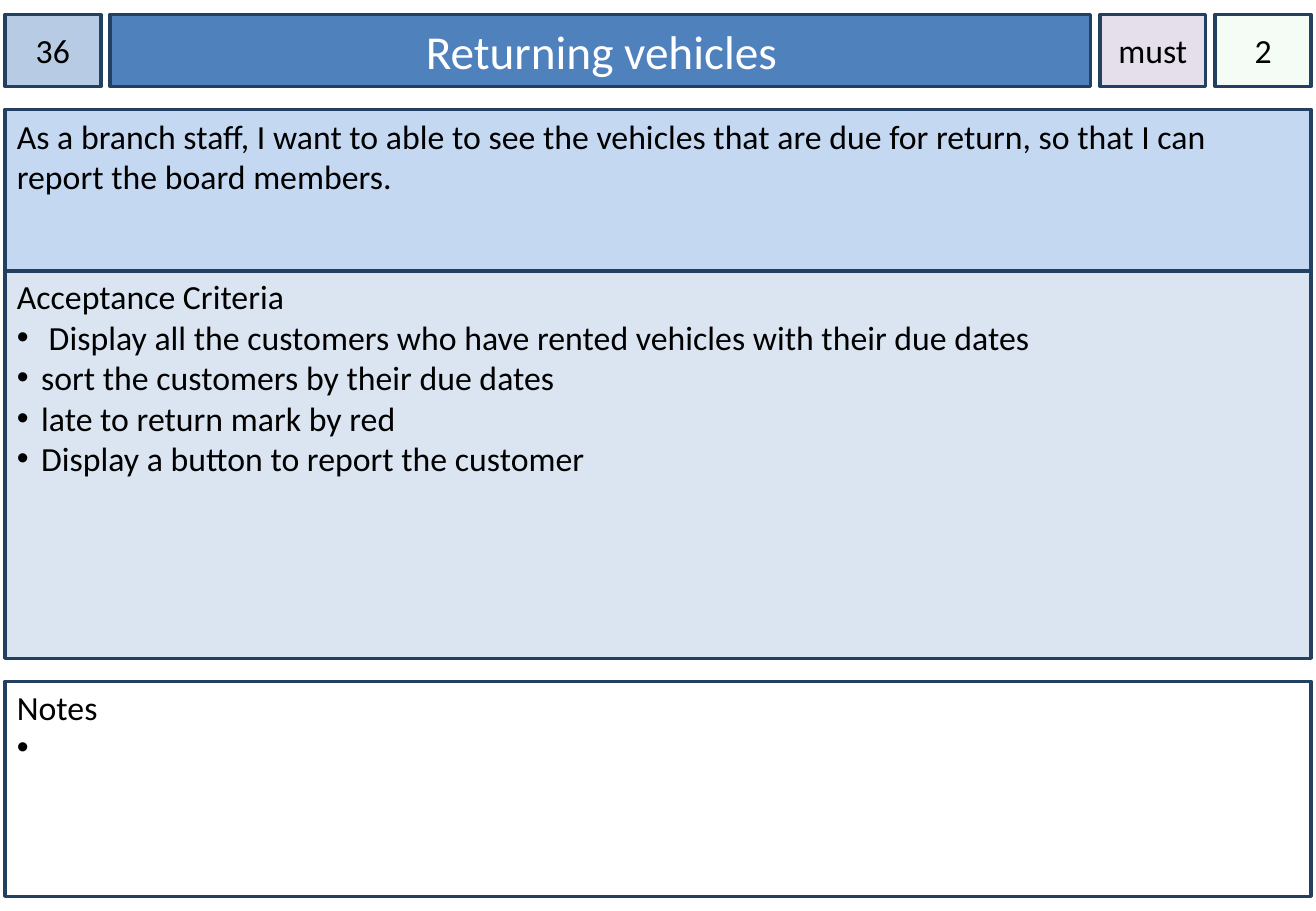
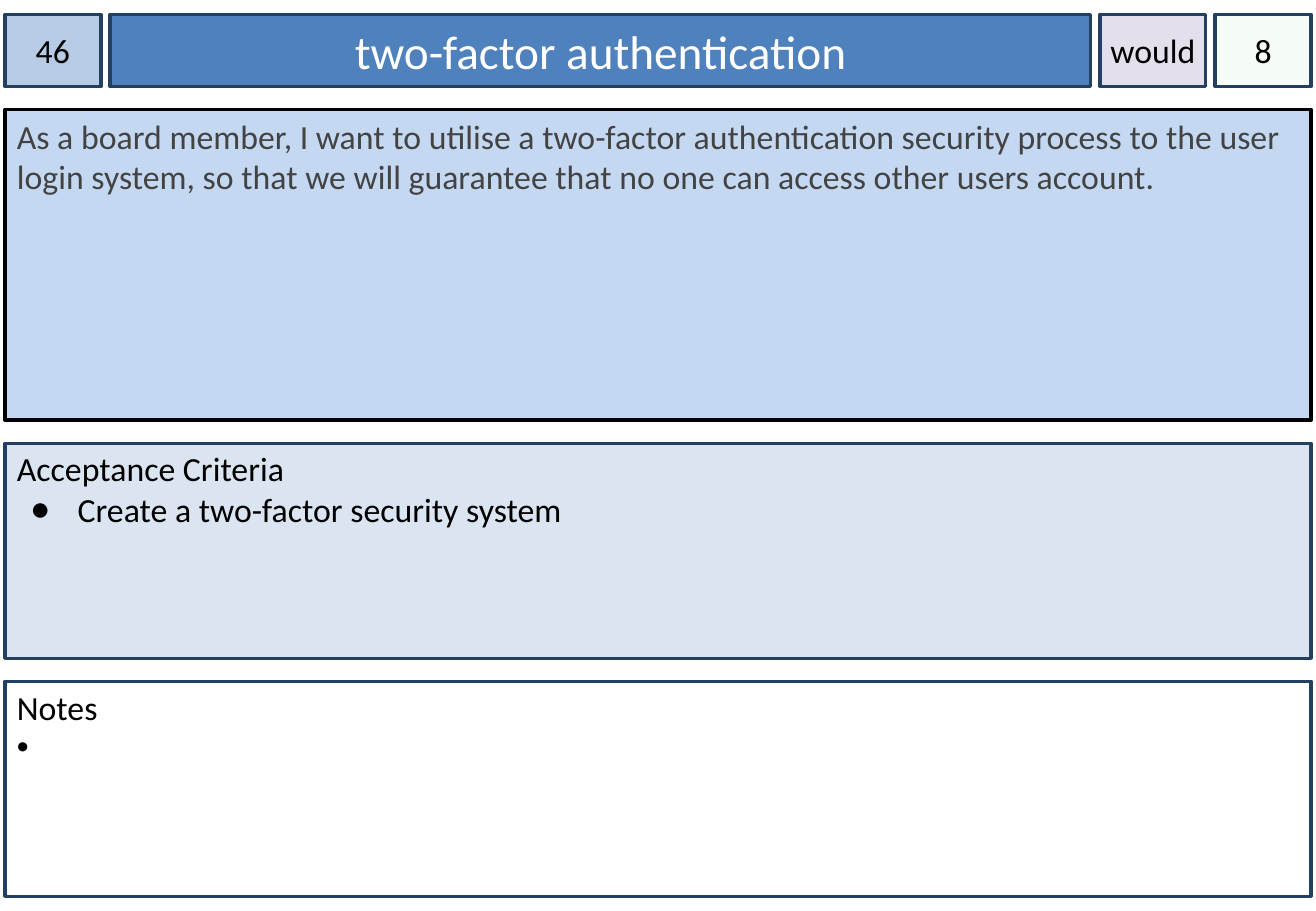
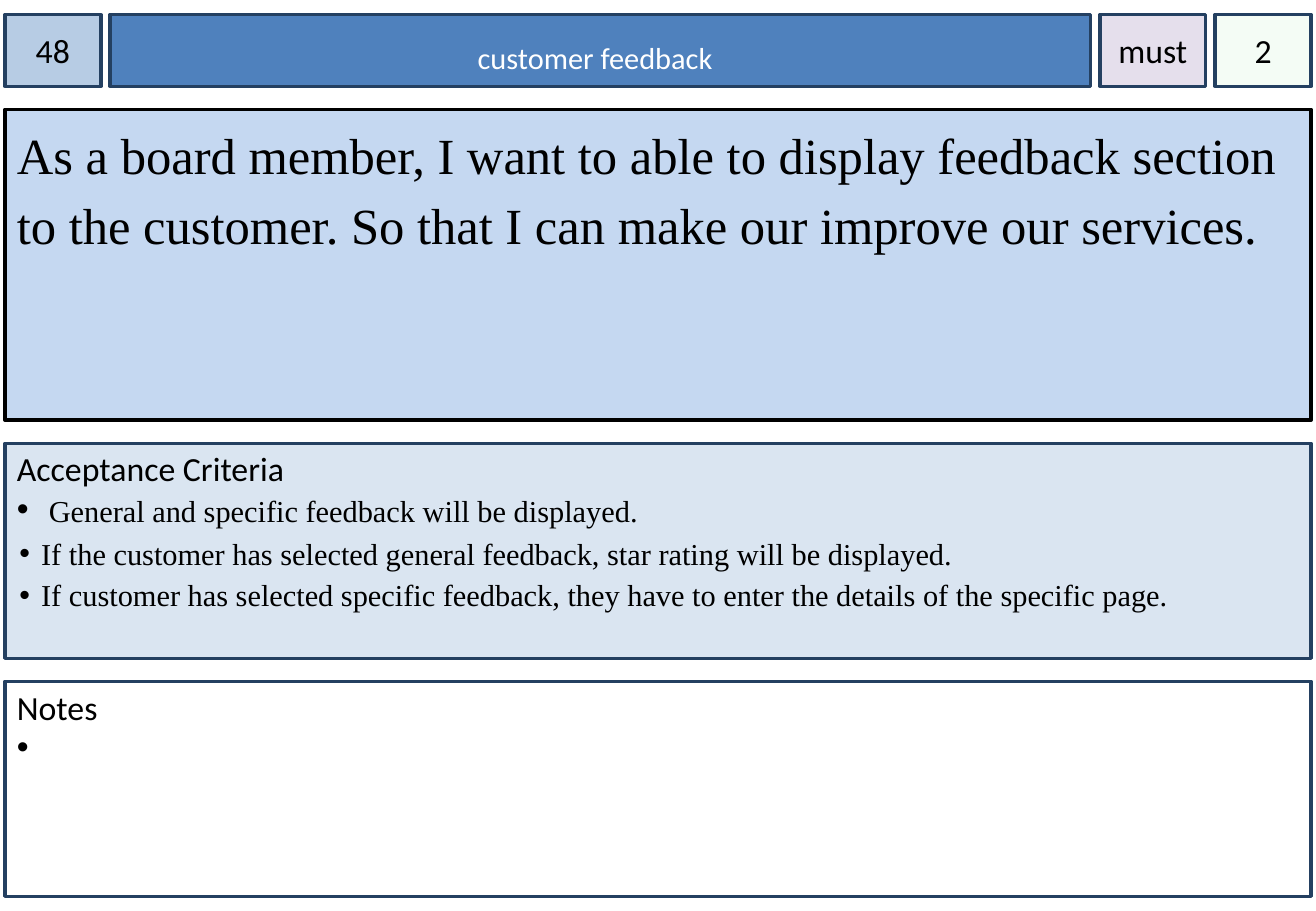
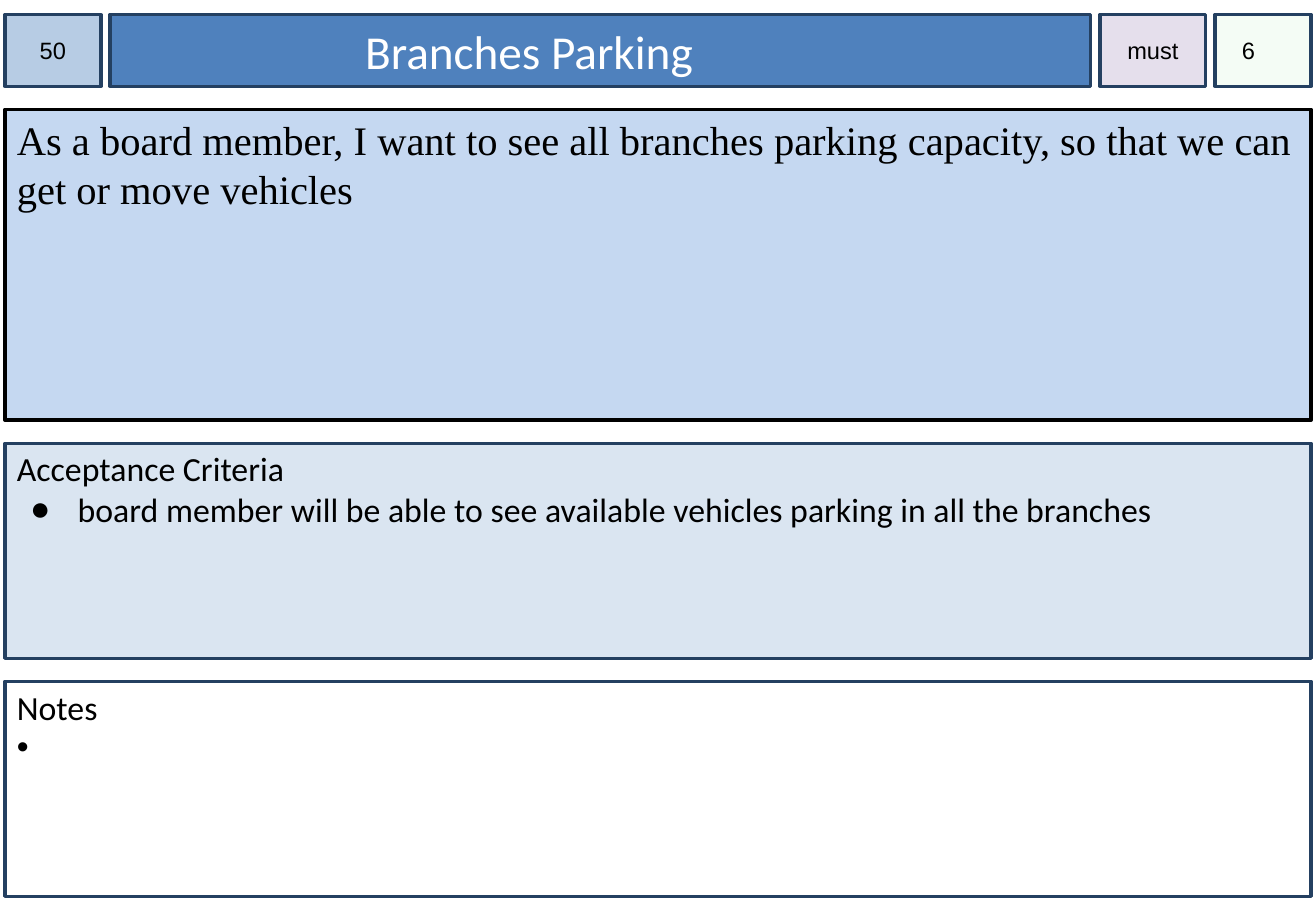
from dataclasses import dataclass

from lxml.etree import SubElement
from pptx import Presentation
from pptx.dml.color import RGBColor
from pptx.enum.shapes import MSO_SHAPE as Preset
from pptx.enum.text import MSO_ANCHOR as Anchor, PP_ALIGN as Align
from pptx.oxml.ns import qn
from pptx.slide import Slide
from pptx.text.text import TextFrame
from pptx.util import Inches, Pt

COLOURS: dict[str, str] = {
    "number": "B7CCE4",
    "title": "4F81BD",
    "story": "C5D8F1",
    "criteria": "DAE5F1",
    "points": "CCF0CD",
    "priority": "E5DFEC",
    "notes": "FFFFFF",
    "navy": "244061",
    "black": "000000",
    "grey": "434343",
    "white": "FFFFFF",
}
SANS, SERIF, BADGE_SANS = "Calibri", "Times New Roman", "Arial"

LEFT, WIDTH = 0.04, 10.75
HEADER_TOP, HEADER_HEIGHT = 0.12, 0.59
HEADER_WIDTHS = {"number": 0.79, "title": 8.07, "priority": 0.87, "points": 0.79}
HEADER_GAP = (WIDTH - sum(HEADER_WIDTHS.values())) / (len(HEADER_WIDTHS) - 1)
STORY_TOP, CRITERIA_BOTTOM = 0.9, 5.42
PANEL_GAP = 0.19
NOTES_TOP, NOTES_HEIGHT = 5.61, 1.77


@dataclass(frozen=True)
class Words:
    text: str
    size: float = 20
    font: str = SANS
    colour: str = "black"


@dataclass(frozen=True)
class Line:
    words: tuple[Words, ...]
    bullet: str = ""
    margin: float = 0
    indent: float = 0
    spacing: float | None = None
    centred: bool = False


@dataclass(frozen=True)
class Card:
    number: Line
    title: Line
    priority: Line
    points: Line
    story: Line
    criteria: tuple[Line, ...]
    story_height: float = 2.56
    story_border: str = "black"
    panel_gap: float = PANEL_GAP


def plain(text: str, size: float = 20, font: str = SANS, colour: str = "black",
          spacing: float | None = None) -> Line:
    return Line((Words(text, size, font, colour),), spacing=spacing)


def badge(text: str, size: float = 20, font: str = SANS) -> Line:
    return Line((Words(text, size, font),), centred=True)


def heading(text: str, margin: float = 0) -> Line:
    return Line((Words(text, 28, colour="white"),), margin=margin, centred=not margin)


def dot(*words: Words, indent: float = -0.2, spacing: float | None = None) -> Line:
    return Line(words, "•", 0.2, indent, spacing)


def big_dot(text: str) -> Line:
    return Line((Words(text),), "●", 0.5, -0.39)


def serif_dot(text: str) -> Line:
    return dot(Words(text, 18, SERIF), indent=-0.18, spacing=1.15)


def rgb(colour: str) -> RGBColor:
    return RGBColor.from_string(COLOURS[colour])


def write_lines(frame: TextFrame, lines: tuple[Line, ...]) -> None:
    for index, line in enumerate(lines):
        paragraph = frame.add_paragraph() if index else frame.paragraphs[0]
        paragraph.alignment = Align.CENTER if line.centred else Align.LEFT
        properties = paragraph._p.get_or_add_pPr()
        properties.set("marL", str(Inches(line.margin)))
        properties.set("indent", str(Inches(line.indent)))
        if line.bullet:
            tint = SubElement(properties, qn("a:buClr"))
            SubElement(tint, qn("a:srgbClr"), val=COLOURS["black"])
            SubElement(properties, qn("a:buFont"), typeface=BADGE_SANS)
            SubElement(properties, qn("a:buChar"), char=line.bullet)
        if line.spacing:
            paragraph.line_spacing = line.spacing
        for words in line.words:
            run = paragraph.add_run()
            run.text = words.text
            run.font.size = Pt(words.size)
            run.font.name = words.font
            run.font.color.rgb = rgb(words.colour)


def draw_box(slide: Slide, left: float, top: float, width: float, height: float,
             fill: str, lines: tuple[Line, ...], side: float = 0.1,
             upper: float = 0.05, anchor: Anchor = Anchor.TOP,
             border: str = "navy", opacity: int = 100) -> None:
    box = slide.shapes.add_shape(
        Preset.RECTANGLE, Inches(left), Inches(top), Inches(width), Inches(height))
    box.shadow.inherit = False
    box.fill.solid()
    box.fill.fore_color.rgb = rgb(fill)
    if opacity < 100:
        tint = box._element.spPr.find(qn("a:solidFill")).find(qn("a:srgbClr"))
        SubElement(tint, qn("a:alpha"), val=str(opacity * 1000))
    box.line.color.rgb = rgb(border)
    box.line.width = Pt(2)
    frame = box.text_frame
    frame.word_wrap = True
    frame.vertical_anchor = anchor
    frame.margin_left = frame.margin_right = Inches(side)
    frame.margin_top, frame.margin_bottom = Inches(upper), Inches(0.05)
    write_lines(frame, lines)


def draw_header(slide: Slide, card: Card) -> None:
    content = {"number": card.number, "title": card.title,
               "priority": card.priority, "points": card.points}
    left = LEFT
    for part, width in HEADER_WIDTHS.items():
        draw_box(slide, left, HEADER_TOP, width, HEADER_HEIGHT, part, (content[part],),
                 side=0.1 if part == "title" else 0, anchor=Anchor.MIDDLE,
                 opacity=20 if part == "points" else 100)
        left += width + HEADER_GAP


def draw_card(slide: Slide, card: Card) -> None:
    draw_header(slide, card)
    draw_box(slide, LEFT, STORY_TOP, WIDTH, card.story_height, "story",
             (card.story,), border=card.story_border)
    criteria_top = STORY_TOP + card.story_height + card.panel_gap
    draw_box(slide, LEFT, criteria_top, WIDTH, CRITERIA_BOTTOM - criteria_top, "criteria",
             (plain("Acceptance Criteria"), *card.criteria), upper=0.04)
    draw_box(slide, LEFT, NOTES_TOP, WIDTH, NOTES_HEIGHT, "notes",
             (plain("Notes"), dot(Words(" "))), upper=0.04)


CARDS = (
    Card(
        badge("36"), heading("Returning vehicles", 2.5), badge("must"), badge("2"),
        plain("As a branch staff, I want to able to see the vehicles that are due for "
              "return, so that I can report the board members."),
        (
            dot(Words(" Display all the customers who have rented vehicles with their due dates")),
            dot(Words("sort the customers by their due dates")),
            dot(Words("late to return mark by red")),
            dot(Words("Display a button to report the customer")),
        ),
        story_height=1.33, story_border="navy", panel_gap=0,
    ),
    Card(
        badge("46"), heading("two-factor authentication"), badge("would"), badge("8"),
        plain("As a board member, I want to utilise a two-factor authentication security "
              "process to the user login system, so that we will guarantee that no one "
              "can access other users account.", colour="grey"),
        (big_dot("Create a two-factor security system"),),
    ),
    Card(
        badge("48"),
        Line((Words("customer feedback", 18, colour="white"),
              Words(" ", 28, colour="white")), centred=True),
        badge("must"), badge("2"),
        plain("As a board member, I want to able to display feedback section to the "
              "customer. So that I can make our improve our services.",
              30, SERIF, spacing=1.15),
        (
            dot(Words(" "), Words("General and specific feedback will be displayed.", 18, SERIF)),
            serif_dot("If the customer has selected general feedback, star rating will be "
                      "displayed."),
            serif_dot("If customer has selected specific feedback, they have to enter the "
                      "details of the specific page."),
        ),
    ),
    Card(
        badge("50", 14, BADGE_SANS), heading("Branches Parking", 2),
        badge("must", 14, BADGE_SANS),
        Line((Words("6", 14, BADGE_SANS),), margin=0.22),
        plain("As a board member, I want to see all branches parking capacity, so that "
              "we can get or move vehicles", 24, SERIF),
        (big_dot("board member will be able to see available vehicles parking in all "
                 "the branches"),),
    ),
)


def main() -> None:
    deck = Presentation()
    deck.slide_width, deck.slide_height = Inches(10.83), Inches(7.5)
    blank = deck.slide_layouts[6]
    for card in CARDS:
        draw_card(deck.slides.add_slide(blank), card)
    deck.save("out.pptx")


if __name__ == "__main__":
    main()
